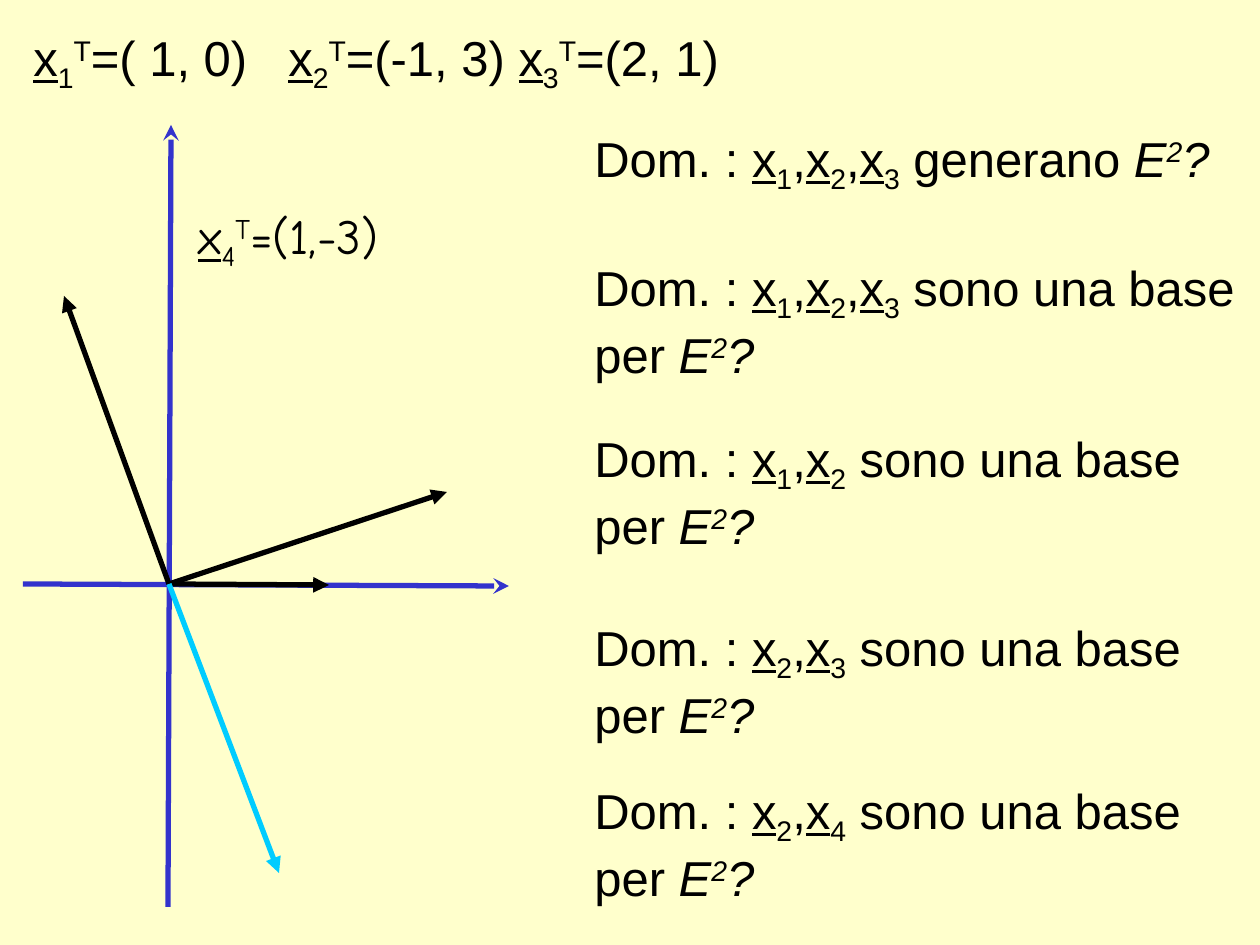
from lxml.etree import SubElement
from pptx import Presentation
from pptx.dml.color import RGBColor
from pptx.enum.shapes import MSO_CONNECTOR as Connector
from pptx.enum.text import MSO_AUTO_SIZE as AutoSize
from pptx.oxml.ns import qn
from pptx.util import Emu, Pt

PX = 914400 / 126
PAPER = RGBColor(0xFF, 0xFF, 0xCC)
BLACK = RGBColor(0x00, 0x00, 0x00)
AXIS_BLUE = RGBColor(0x33, 0x33, 0xCC)
CYAN = RGBColor(0x00, 0xCC, 0xFF)
FONT, HAND_FONT = "Arial", "Comic Neue"
SUB, SUPER = -25000, 30000


def px(length):
    return Emu(round(length * PX))


def add_run(paragraph, text, font=FONT, underline=None, italic=None, baseline=None):
    run = paragraph.add_run()
    run.text = text
    run.font.name = font
    run.font.size = Pt(28)
    run.font.color.rgb = BLACK
    run.font.underline = underline
    run.font.italic = italic
    if baseline:
        run.font._element.set("baseline", str(baseline))


def add_vector_name(paragraph, index, font=FONT):
    add_run(paragraph, "x", font, underline=True)
    add_run(paragraph, str(index), font, baseline=SUB)


def add_vector_value(paragraph, index, value, font=FONT):
    add_vector_name(paragraph, index, font)
    add_run(paragraph, "T", font, baseline=SUPER)
    add_run(paragraph, value, font)


def add_text_box(slide, box):
    shape = slide.shapes.add_textbox(*map(px, box))
    shape.text_frame.word_wrap = True
    shape.text_frame.auto_size = AutoSize.SHAPE_TO_FIT_TEXT
    return shape.text_frame.paragraphs[0]


def add_arrow(slide, start, end, color, head="triangle"):
    arrow = slide.shapes.add_connector(Connector.STRAIGHT, *map(px, start + end))
    arrow.line.color.rgb = color
    arrow.line.width = Pt(3)
    SubElement(arrow.line._get_or_add_ln(), qn("a:tailEnd"), type=head)
    SubElement(arrow._element.spPr, qn("a:effectLst"))


def add_definitions(slide, box):
    paragraph = add_text_box(slide, box)
    # The tab stop sets the gap before the second vector
    tabs = SubElement(paragraph._p.get_or_add_pPr(), qn("a:tabLst"))
    SubElement(tabs, qn("a:tab"), pos=str(px(255)), algn="l")
    add_vector_value(paragraph, 1, "=( 1, 0)\t")
    add_vector_value(paragraph, 2, "=(-1, 3) ")
    add_vector_value(paragraph, 3, "=(2, 1)")


def add_plot(slide, box):
    left, top, width, height = box
    origin = (left + 146, top + 459)
    # Axes
    add_arrow(slide, (left + 145, top + height), (left + 148, top), AXIS_BLUE, "stealth")
    add_arrow(slide, (left, origin[1]), (left + width, origin[1] + 2), AXIS_BLUE, "stealth")
    # Vectors x1 to x4, as offsets from the origin
    vectors = [(160, 1, BLACK), (-105, -288, BLACK), (278, -92, BLACK), (110, 289, CYAN)]
    for across, down, color in vectors:
        add_arrow(slide, origin, (origin[0] + across, origin[1] + down), color)
    # Label of the fourth vector
    label = add_text_box(slide, (left + 163, top + 74, 278, 72))
    add_vector_value(label, 4, "=(1,-3)", HAND_FONT)


def add_question(slide, box, indexes, question):
    paragraph = add_text_box(slide, box)
    add_run(paragraph, "Dom. : ")
    for position, index in enumerate(indexes):
        if position:
            add_run(paragraph, ",")
        add_vector_name(paragraph, index)
    add_run(paragraph, question)
    add_run(paragraph, "E", italic=True)
    add_run(paragraph, "2", italic=True, baseline=SUPER)
    add_run(paragraph, "?", italic=True)


def add_questions(slide, left, width):
    basis = " sono una base per "
    questions = [
        (122, 72, (1, 2, 3), " generano "),
        (251, 130, (1, 2, 3), basis),
        (422, 130, (1, 2), basis),
        (611, 130, (2, 3), basis),
        (774, 130, (2, 4), basis),
    ]
    for top, height, indexes, question in questions:
        add_question(slide, (left, top, width, height), indexes, question)


def main():
    presentation = Presentation()
    presentation.slide_width, presentation.slide_height = px(1260), px(945)
    slide = presentation.slides.add_slide(presentation.slide_layouts[6])
    slide.background.fill.solid()
    slide.background.fill.fore_color.rgb = PAPER

    add_definitions(slide, (21, 21, 844, 72))
    add_plot(slide, (23, 125, 486, 782))
    add_questions(slide, 582, 678)
    presentation.save("out.pptx")


if __name__ == "__main__":
    main()
